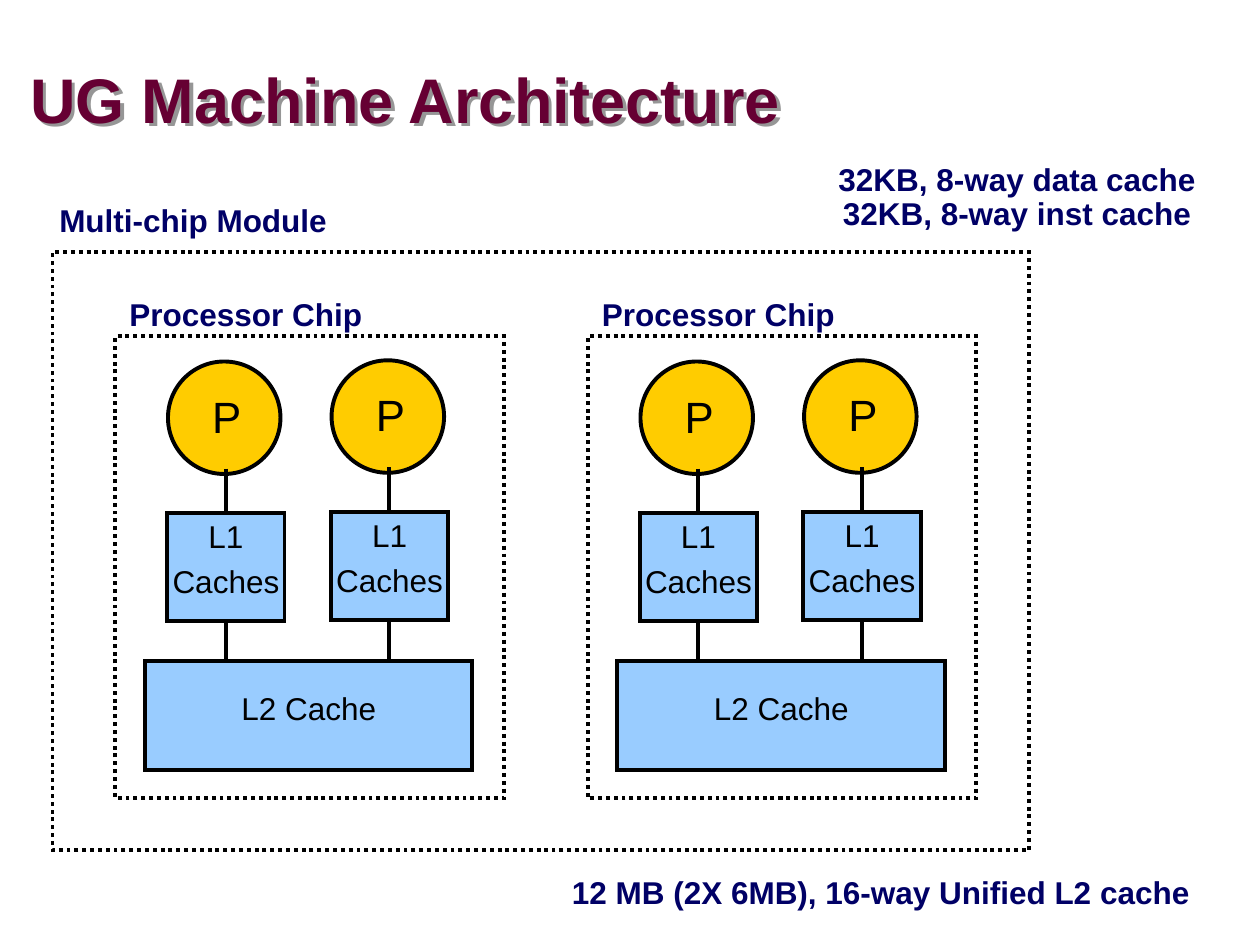
from lxml.etree import SubElement
from pptx import Presentation
from pptx.dml.color import RGBColor
from pptx.enum.dml import MSO_LINE
from pptx.enum.shapes import MSO_CONNECTOR, MSO_SHAPE
from pptx.enum.text import MSO_ANCHOR, PP_ALIGN
from pptx.oxml.ns import qn
from pptx.util import Pt

COLORS = {"title": "660033", "label": "000066", "ink": "000000",
          "cache": "99CCFF", "core": "FFCC00", "shade": "969696"}
FORMATS = {
    "title": {"font": {"size": Pt(36), "bold": True}, "color": "title",
              "para": {"line_spacing": 0.87},
              "frame": {"vertical_anchor": MSO_ANCHOR.MIDDLE, "word_wrap": True,
                        "margin_left": 0, "margin_right": 0,
                        "margin_top": 0, "margin_bottom": 0}},
    "label": {"font": {"size": Pt(18), "bold": True}, "color": "label",
              "para": {"line_spacing": 0.9, "alignment": PP_ALIGN.CENTER},
              "frame": {"word_wrap": False,
                        "margin_left": Pt(4), "margin_right": Pt(4)}},
    "cache": {"font": {"size": Pt(18)}, "color": "ink",
              "para": {"space_before": Pt(4.5), "alignment": PP_ALIGN.CENTER},
              "frame": {"word_wrap": False}},
    "core": {"font": {"size": Pt(25)}, "color": "ink",
             "para": {"space_before": Pt(6.2), "alignment": PP_ALIGN.CENTER},
             "frame": {"word_wrap": False}},
}


def apply(item, values):
    for name, value in values.items():
        setattr(item, name, value)


class Canvas:
    def __init__(self, slide):
        self.slide = slide
        self.font = "Arial"
        self.width = Pt(2.24)

    def color(self, name):
        return RGBColor.from_string(COLORS[name])

    def stroke(self, line):
        line.color.rgb = self.color("ink")
        line.width = self.width

    def text(self, words, style, x, y, w, h):
        form = FORMATS[style]
        box = self.slide.shapes.add_textbox(Pt(x), Pt(y), Pt(w), Pt(h))
        frame = box.text_frame
        frame.text = words
        apply(frame, form["frame"])
        for para in frame.paragraphs:
            apply(para, form["para"])
            for run in para.runs:
                apply(run.font, {"name": self.font, **form["font"]})
                run.font.color.rgb = self.color(form["color"])
        return box

    def shade(self, box):
        effect = SubElement(box._element.spPr, qn("a:effectLst"))
        shadow = SubElement(effect, qn("a:outerShdw"), dist="35921", dir="2700000")
        SubElement(shadow, qn("a:srgbClr"), val=COLORS["shade"])

    def shape(self, kind, x, y, w, h, fill=None):
        item = self.slide.shapes.add_shape(kind, Pt(x), Pt(y), Pt(w), Pt(h))
        item.shadow.inherit = False
        self.stroke(item.line)
        if fill:
            item.fill.solid()
            item.fill.fore_color.rgb = self.color(fill)
        else:
            item.fill.background()
            item.line.dash_style = MSO_LINE.ROUND_DOT
        edge = item._element.spPr.find(qn("a:ln"))
        SubElement(edge, qn("a:miter"), lim="800000")

    def link(self, x, top, end):
        line = self.slide.shapes.add_connector(
            MSO_CONNECTOR.STRAIGHT, Pt(x), Pt(top), Pt(x), Pt(end))
        self.stroke(line.line)
        SubElement(line._element.spPr, qn("a:effectLst"))

    def core(self, x, y):
        self.shape(MSO_SHAPE.OVAL, x + 0.4, y, 64.3, 64.3, "core")
        self.shape(MSO_SHAPE.RECTANGLE, x, y + 86.4, 67, 62, "cache")
        self.text("L1\nCaches", "cache", x - 4.3, y + 85.2, 75.6, 55.4)
        self.text("P", "core", x + 18.5, y + 12.4, 31, 37.4)
        for top in (61.2, 147.6):
            self.link(x + 33.4, y + top, y + top + 24.5)

    def chip(self, x, y):
        self.shape(MSO_SHAPE.RECTANGLE, x, y, 222, 264)
        self.shape(MSO_SHAPE.RECTANGLE, x + 16.7, y + 185.6, 187.2, 62, "cache")
        self.text("L2 Cache", "cache", x + 64.8, y + 198, 91.4, 28.8)
        for col in range(2):
            self.core(x + 29.6 + 93.5 * col, y + 14.4 - 0.7 * col)
        self.text("Processor Chip", "label", x + 0.7, y - 24.5, 147.6, 26.6)


deck = Presentation()
deck.slide_width, deck.slide_height = Pt(720), Pt(540)
page = Canvas(deck.slides.add_slide(deck.slide_layouts[6]))

page.shade(page.text("UG Machine Architecture", "title", 17.2, 6.2, 671, 105.8))
page.shape(MSO_SHAPE.RECTANGLE, 30, 144, 558, 342)
for left in (66, 336):
    page.chip(left, 192.2)

LABELS = [
    ("Multi-chip Module", 27.2, 113.5, 166.3, 26),
    ("32KB, 8-way data cache\n32KB, 8-way inst cache", 472.8, 90.6, 216.7, 45.4),
    ("12 MB (2X 6MB), 16-way Unified L2 cache", 320.4, 497.7, 365.8, 26),
]
for words, *place in LABELS:
    page.text(words, "label", *place)

deck.save("out.pptx")
